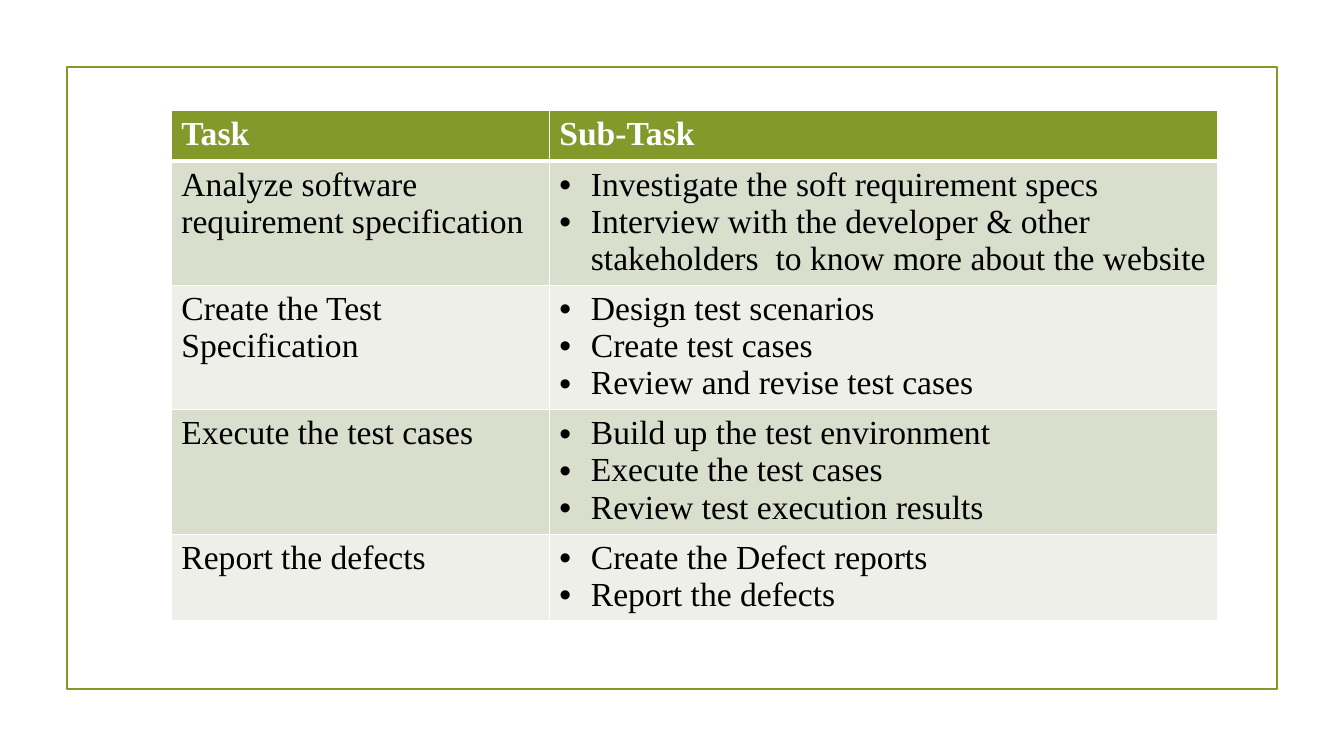
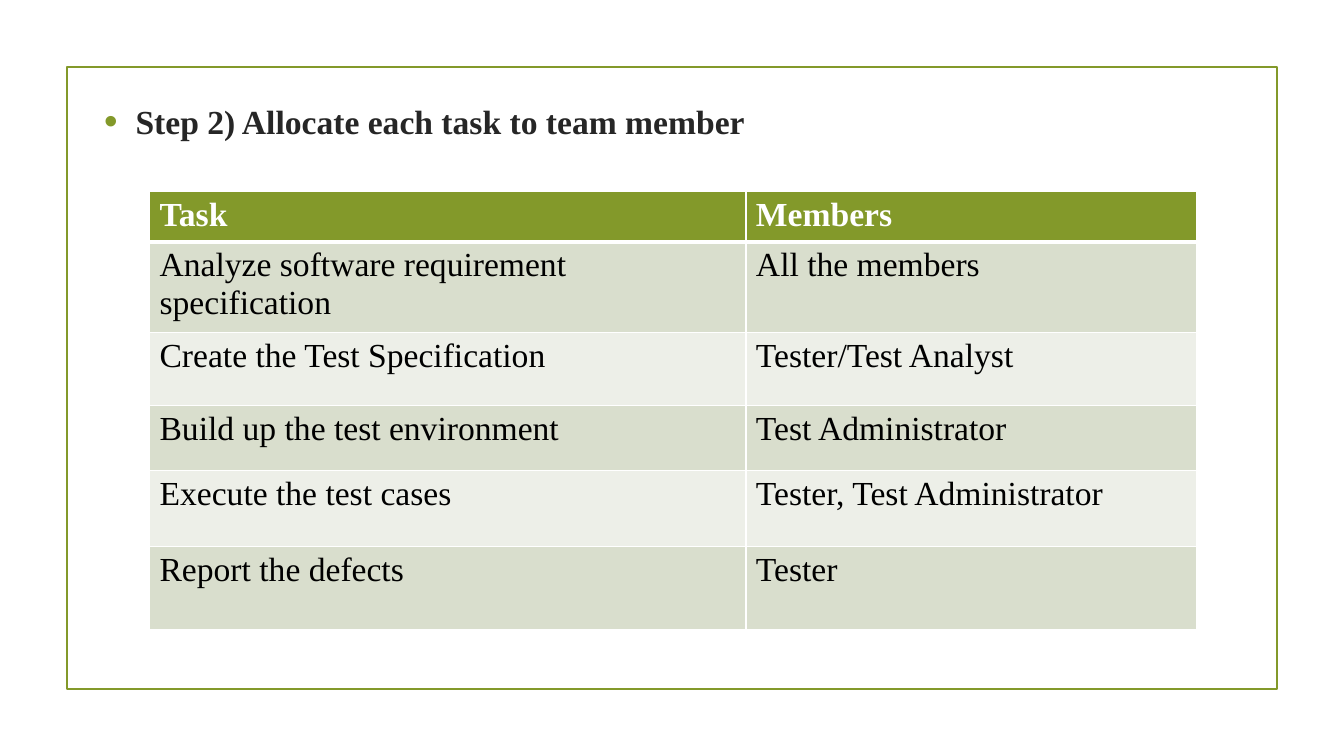
from lxml.etree import SubElement
from pptx import Presentation
from pptx.dml.color import RGBColor
from pptx.enum.shapes import MSO_SHAPE
from pptx.oxml.ns import qn
from pptx.util import Inches, Pt

COLS, ROWS = 160, 90
UNIT = Inches(13.3333) / COLS
FONT, SIZE = "Times New Roman", 24
GREEN, WHITE, BLACK, DARK = "83992A", "FFFFFF", "000000", "262626"
BANDS = "D9DECD", "EDEFE8"
INDENT = 3.75

SUB_TASKS = [
    ("Task", "Sub-Task"),
    ("Analyze software requirement specification",
     ["Investigate the soft requirement specs",
      "Interview with the developer & other stakeholders  to know more about the website"]),
    ("Create the Test Specification",
     ["Design test scenarios", "Create test cases", "Review and revise test cases"]),
    ("Execute the test cases",
     ["Build up the test environment", "Execute the test cases",
      "Review test execution results"]),
    ("Report the defects", ["Create the Defect reports", "Report the defects"]),
]
MEMBERS = [
    ("Task", "Members"),
    ("Analyze software requirement specification", "All the members"),
    ("Create the Test Specification", "Tester/Test Analyst"),
    ("Build up the test environment", "Test Administrator"),
    ("Execute the test cases", "Tester, Test Administrator"),
    ("Report the defects", "Tester"),
]


def grid(*units):
    return [round(u * UNIT) for u in units]


def rgb(value):
    return RGBColor.from_string(value)


def add_run(p, text, color, bold=False):
    r = p.add_run()
    r.text = text
    r.font.name = FONT
    r.font.size = Pt(SIZE)
    r.font.bold = bold
    r.font.color.rgb = rgb(color)


def add_bullet(p, color=None, percent=None):
    pPr = p._p.get_or_add_pPr()
    indent, = grid(INDENT)
    pPr.set("marL", str(indent))
    pPr.set("indent", str(-indent))
    if color:
        SubElement(SubElement(pPr, qn("a:buClr")), qn("a:srgbClr")).set("val", color)
    if percent:
        SubElement(pPr, qn("a:buSzPct")).set("val", str(percent * 1000))
    SubElement(pPr, qn("a:buFont")).set("typeface", "Arial")
    SubElement(pPr, qn("a:buChar")).set("char", "•")


def add_borders(cell, top=1, bottom=1):
    tcPr = cell._tc.get_or_add_tcPr()
    for side, width in (("L", 1), ("R", 1), ("T", top), ("B", bottom)):
        ln = SubElement(tcPr, qn(f"a:ln{side}"), w=str(Pt(width)))
        SubElement(SubElement(ln, qn("a:solidFill")), qn("a:srgbClr")).set("val", WHITE)


def fill_cell(cell, content, row):
    header = row == 0
    add_borders(cell, top=3 if row == 1 else 1, bottom=3 if header else 1)
    cell.fill.solid()
    cell.fill.fore_color.rgb = rgb(GREEN if header else BANDS[(row - 1) % 2])
    bulleted = isinstance(content, list)
    tf = cell.text_frame
    for i, text in enumerate(content if bulleted else [content]):
        p = tf.add_paragraph() if i else tf.paragraphs[0]
        if bulleted:
            add_bullet(p)
        add_run(p, text, WHITE if header else BLACK, header)


def add_task_table(s, left, top, widths, heights, rows):
    box = grid(left, top, sum(widths), sum(heights))
    table = s.shapes.add_table(len(rows), len(widths), *box).table
    table.horz_banding = False
    for column, width in zip(table.columns, grid(*widths)):
        column.width = width
    for row, height in zip(table.rows, grid(*heights)):
        row.height = height
    for i, row in enumerate(rows):
        for j, content in enumerate(row):
            fill_cell(table.cell(i, j), content, i)


def add_heading(s, text):
    tf = s.shapes.add_textbox(*grid(11.2, 11.4, 139.6, 7.7)).text_frame
    tf.word_wrap = True
    p = tf.paragraphs[0]
    add_bullet(p, GREEN, 115)
    p.space_after = Pt(6)
    add_run(p, text, DARK, True)


def add_framed_slide(prs):
    s = prs.slides.add_slide(prs.slide_layouts[6])
    sp = s.shapes.add_shape(MSO_SHAPE.RECTANGLE, *grid(8, 8, COLS - 16, ROWS - 16))
    sp.shadow.inherit = False
    sp.fill.background()
    sp.line.color.rgb = rgb(GREEN)
    sp.line.width = Pt(1.25)
    return s


def main():
    prs = Presentation()
    prs.slide_width, prs.slide_height = grid(COLS, ROWS)

    s = add_framed_slide(prs)
    add_task_table(s, 20.4, 13.2, [45, 79.6], [6, 14.8, 14.8, 14.8, 10.3], SUB_TASKS)

    s = add_framed_slide(prs)
    add_heading(s, "Step 2) Allocate each task to team member")
    add_task_table(s, 17.8, 22.8, [71, 53.6], [5.7, 10, 8.7, 7.7, 9.1, 9.8], MEMBERS)

    prs.save("out.pptx")


if __name__ == "__main__":
    main()
